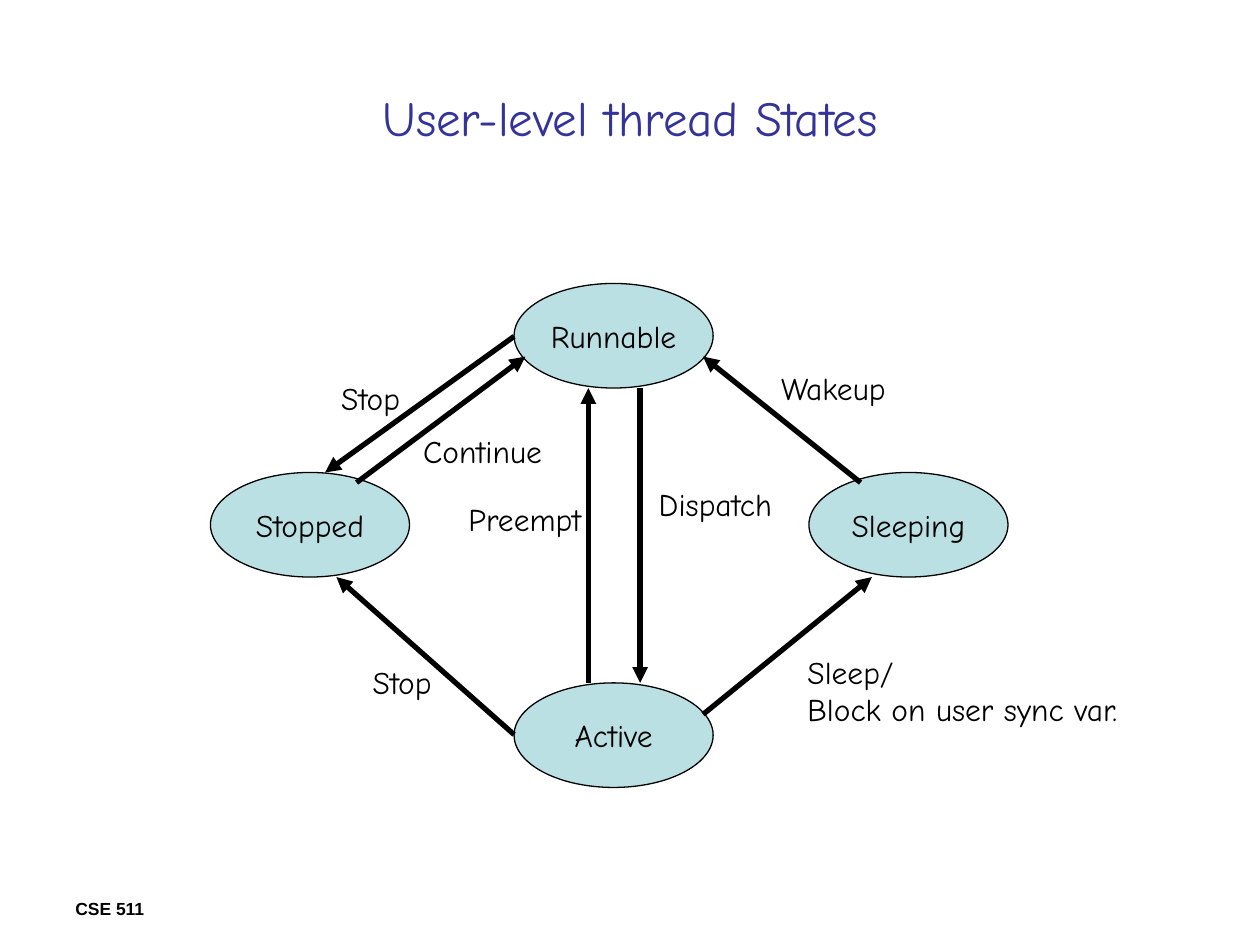
from lxml import etree
from pptx import Presentation
from pptx.dml.color import RGBColor
from pptx.enum import shapes, text
from pptx.oxml import ns
from pptx.util import Inches, Pt

BLACK = RGBColor(0x00, 0x00, 0x00)
NAVY = RGBColor(0x33, 0x33, 0x99)
PALE_TEAL = RGBColor(0xBB, 0xE0, 0xE3)

STATE_SIZE = (1.58, 0.83)
STATES = [
    ("Runnable", 2.41, 0),
    ("Stopped", 0, 1.5),
    ("Active", 2.41, 3.17),
    ("Sleeping", 4.75, 1.5),
]
TRANSITIONS = [
    ((5.16, 1.58), (3.91, 0.58)),
    ((3.41, 0.83), (3.41, 3.17)),
    ((3, 3.17), (3, 0.83)),
    ((3.91, 3.42), (5.25, 2.33)),
    ((2.41, 0.42), (0.91, 1.5)),
    ((1.16, 1.58), (2.5, 0.58)),
    ((2.41, 3.58), (1, 2.33)),
]
LABELS = [
    ("Wakeup", 4.43, 0.63, 1.05, 0.4),
    ("Sleep/\nBlock on user sync var.", 4.64, 2.88, 2.69, 0.7),
    ("Dispatch", 3.46, 1.55, 1.1, 0.4),
    ("Preempt", 1.95, 1.67, 1.1, 0.4),
    ("Stop", 0.94, 0.71, 0.67, 0.4),
    ("Continue", 1.59, 1.13, 1.14, 0.4),
    ("Stop", 1.19, 2.96, 0.67, 0.4),
]


def write_text(shape, content, size=18, font="Comic Neue", color=BLACK, bold=False,
               align=text.PP_ALIGN.LEFT, anchor=text.MSO_ANCHOR.TOP, wrap=False):
    frame = shape.text_frame
    frame.word_wrap = wrap
    frame.vertical_anchor = anchor
    frame.text = content
    for paragraph in frame.paragraphs:
        paragraph.alignment = align
        paragraph.font.size = Pt(size)
        paragraph.font.name = font
        paragraph.font.bold = bold
        paragraph.font.color.rgb = color


def add_text_box(slide, content, left, top, width, height, **text_format):
    box = slide.shapes.add_textbox(Inches(left), Inches(top), Inches(width), Inches(height))
    write_text(box, content, **text_format)


def add_state(slide, name, left, top):
    width, height = STATE_SIZE
    ellipse = slide.shapes.add_shape(
        shapes.MSO_SHAPE.OVAL, Inches(left), Inches(top), Inches(width), Inches(height))
    ellipse.shadow.inherit = False
    ellipse.fill.solid()
    ellipse.fill.fore_color.rgb = PALE_TEAL
    ellipse.line.color.rgb = BLACK
    ellipse.line.width = Pt(0.75)
    write_text(ellipse, name, align=text.PP_ALIGN.CENTER, anchor=text.MSO_ANCHOR.MIDDLE)


def add_arrow(slide, start, end):
    arrow = slide.shapes.add_connector(
        shapes.MSO_CONNECTOR.STRAIGHT, *(Inches(value) for value in (*start, *end)))
    arrow.line.color.rgb = BLACK
    arrow.line.width = Pt(3)
    etree.SubElement(arrow.line._get_or_add_ln(), ns.qn("a:tailEnd"), type="triangle")
    etree.SubElement(arrow._element.spPr, ns.qn("a:effectLst"))


def add_state_diagram(slide, left, top):
    for name, x, y in STATES:
        add_state(slide, name, left + x, top + y)
    for start, end in TRANSITIONS:
        add_arrow(slide, *((left + x, top + y) for x, y in (start, end)))
    for content, x, y, width, height in LABELS:
        add_text_box(slide, content, left + x, top + y, width, height)


def add_title(slide, left, top, width, height):
    add_text_box(slide, "User-level thread States", left, top, width, height, size=28,
                 color=NAVY, align=text.PP_ALIGN.CENTER,
                 anchor=text.MSO_ANCHOR.MIDDLE, wrap=True)


def add_footer(slide, left, top, width, height):
    add_text_box(slide, "CSE 511", left, top, width, height,
                 size=10, font="Arial", bold=True, wrap=True)


def main():
    presentation = Presentation()
    presentation.slide_width = Inches(10)
    presentation.slide_height = Inches(7.5)
    slide = presentation.slides.add_slide(presentation.slide_layouts[6])
    add_footer(slide, 0.5, 7.08, 2.33, 0.25)
    add_title(slide, 0.5, 0.3, 9, 1.25)
    add_state_diagram(slide, 1.67, 2.25)
    presentation.save("out.pptx")


if __name__ == "__main__":
    main()
